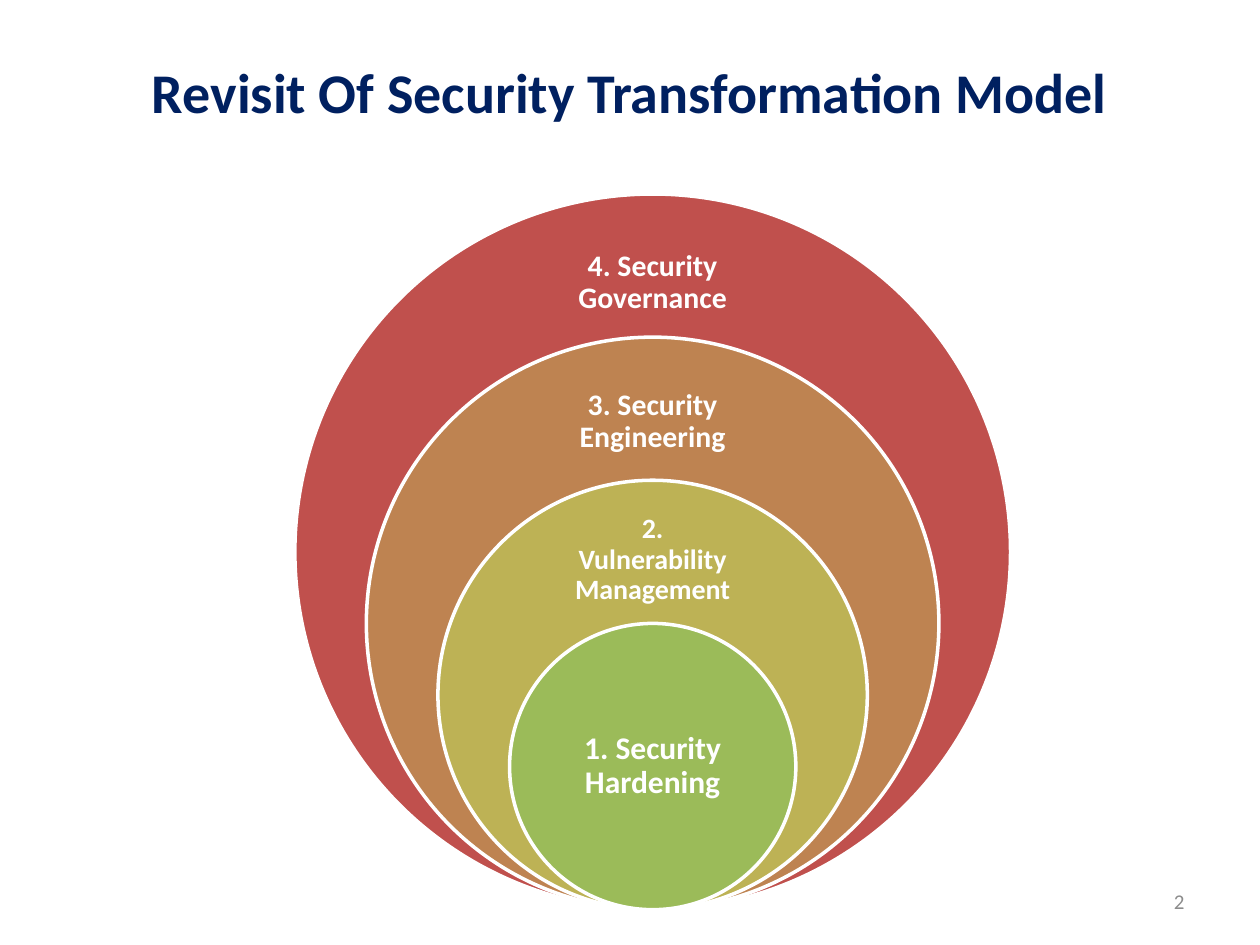
from pptx import Presentation
from pptx.dml.color import RGBColor
from pptx.enum.shapes import MSO_SHAPE
from pptx.enum.text import MSO_ANCHOR, PP_ALIGN
from pptx.util import Inches, Pt

THEME = {
    "font": "Calibri",
    "title": ("002060", 32),
    "number": ("8C8C8C", 12),
    "label": "FFFFFF",
    "outline": "FFFFFF",
}

prs = Presentation()
prs.slide_width, prs.slide_height = Inches(10), Inches(7.5)
s = prs.slides.add_slide(prs.slide_layouts[5])


def write(shape, text, color, size, bold=False, align=PP_ALIGN.CENTER):
    """Put one formatted, vertically centred paragraph in a shape and return it."""
    tf = shape.text_frame
    tf.word_wrap = True
    tf.vertical_anchor = MSO_ANCHOR.MIDDLE
    p = tf.paragraphs[0]
    p.alignment = align
    r = p.add_run()
    r.text = text
    r.font.name, r.font.size, r.font.bold = THEME["font"], Pt(size), bold
    r.font.color.rgb = RGBColor.from_string(color)
    return p


title = s.shapes.title
title.left, title.top = Inches(0.5), Inches(0.23)
title.width, title.height = Inches(9), Inches(0.98)
write(title, "Revisit Of Security Transformation Model", *THEME["title"], bold=True)

number = s.shapes.add_textbox(Inches(7.17), Inches(6.95), Inches(2.33), Inches(0.4))
write(number, "2", *THEME["number"], align=PP_ALIGN.RIGHT)

# Circles shrink by a fifth of the outer one and rest on a common bottom point
CENTER_X, BOTTOM, OUTER = 5.18, 7.22, 5.68
LABEL_WIDTH = 1.6
# text, fill, type size, label top, label height, inset
layers = [
    ("4. Security Governance", "C0504D", 17, 1.82, 0.85, 0.13),
    ("3. Security Engineering", "BE8351", 17, 2.94, 0.82, 0.13),
    ("2. Vulnerability Management", "BDB255", 16, 4.06, 0.77, 0.12),
    ("1. Security Hardening", "9BBB59", 18, 5.51, 1.14, 0.14),
]
model = s.shapes.add_group_shape()
for i, (text, fill, size, top, height, inset) in enumerate(layers):
    d = OUTER * (5 - i) / 5
    circle = model.shapes.add_shape(
        MSO_SHAPE.OVAL, Inches(CENTER_X - d / 2), Inches(BOTTOM - d), Inches(d), Inches(d))
    circle.shadow.inherit = False
    circle.fill.solid()
    circle.fill.fore_color.rgb = RGBColor.from_string(fill)
    circle.line.color.rgb = RGBColor.from_string(THEME["outline"])
    circle.line.width = Pt(2)

    label = model.shapes.add_textbox(
        Inches(CENTER_X - LABEL_WIDTH / 2), Inches(top), Inches(LABEL_WIDTH), Inches(height))
    tf = label.text_frame
    tf.margin_left = tf.margin_right = tf.margin_top = tf.margin_bottom = Inches(inset)
    p = write(label, text, THEME["label"], size, bold=True)
    p.line_spacing = 0.9

prs.save("out.pptx")
